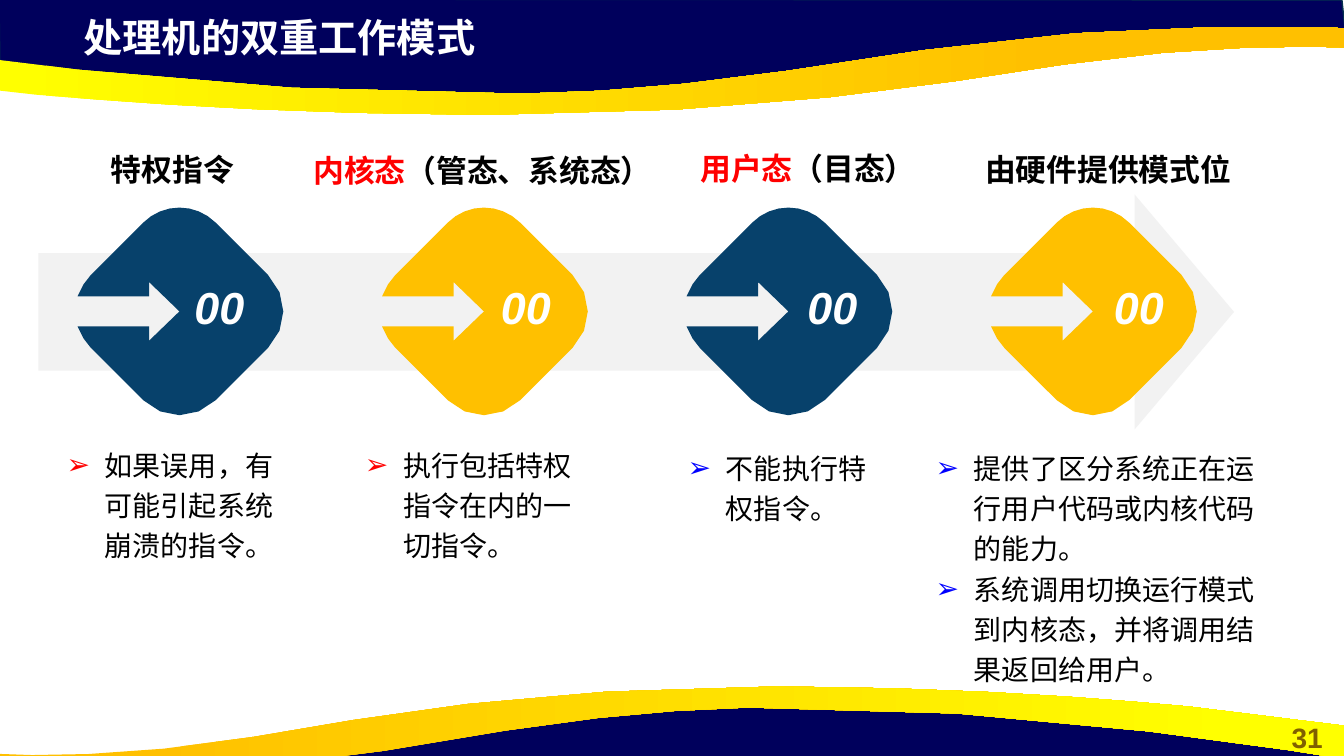
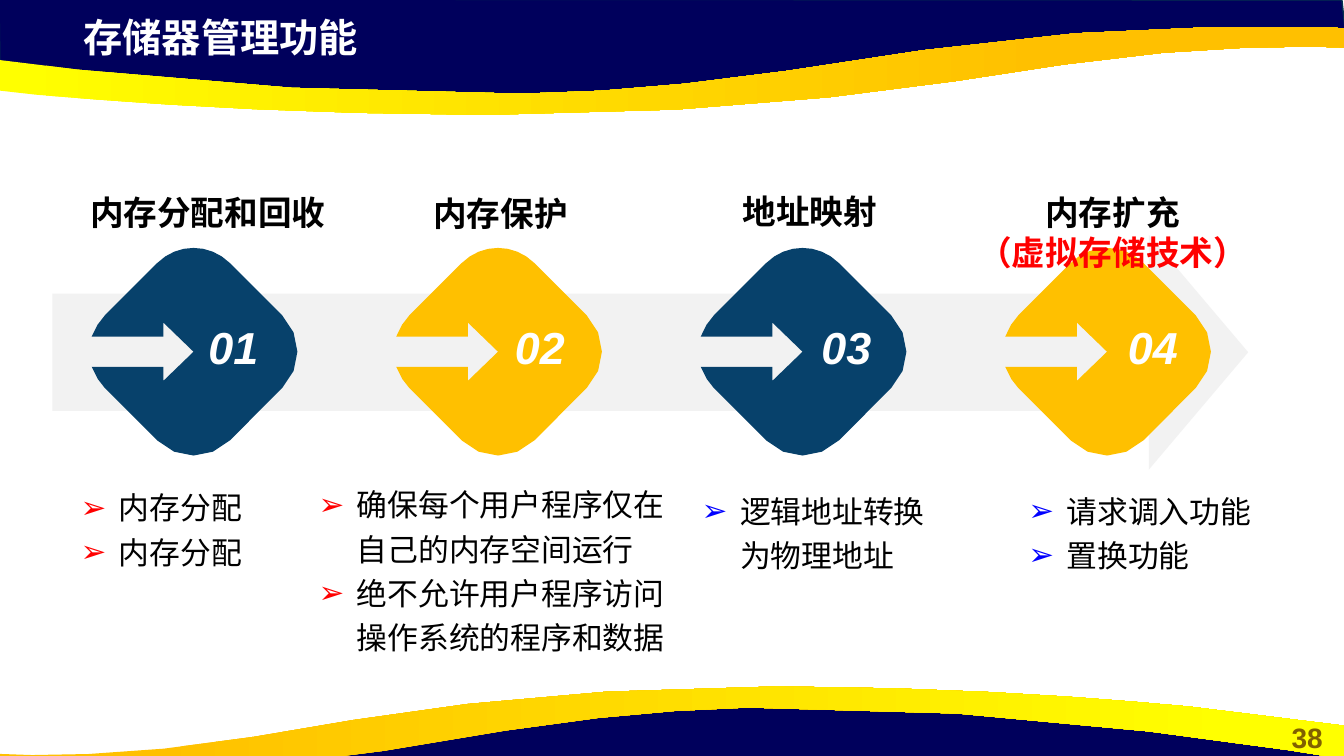
from pptx import Presentation
from pptx.dml.color import RGBColor
from pptx.enum.shapes import MSO_SHAPE as Preset
from pptx.enum.text import MSO_ANCHOR as Anchor, MSO_AUTO_SIZE as AutoSize, PP_ALIGN as Align
from pptx.oxml.ns import qn
from pptx.util import Inches, Pt
from lxml.etree import SubElement

# Theme
THEME = {
    "font": "Arial", "navy": "00005C", "edge": "05304F", "orange": "FFC000",
    "yellow": "FFFF00", "banner": "F2F2F2", "page": "806000", "white": "FFFFFF",
    "black": "000000", "red": "FF0000", "blue": "0000FF",
    "diamonds": ("07416B", "FFC000"),
    "title_size": 28, "number_size": 32, "page_size": 20,
}
WIDTH, HEIGHT = 13.33, 7.5

# Content: heading runs are (text, colour), heading is (left, width, align),
# list is (left, drop below the banner's top, width)
SLIDES = [
    {
        "title": "处理机的双重工作模式", "page": "31", "banner": (0.38, 1.93),
        "heading_size": 22, "list_size": 20,
        "columns": [
            {"number": "00", "runs": [("特权指令", "black")],
             "heading": (0.24, 2.94, Align.CENTER), "list": (0.56, 2.4, 2.5),
             "items": ["如果误用，有可能引起系统崩溃的指令。"]},
            {"number": "00", "runs": [("内核态", "red"), ("（管态、系统态）", "black")],
             "heading": (3.01, 3.63, Align.LEFT), "list": (3.52, 2.4, 2.49),
             "items": ["执行包括特权指令在内的一切指令。"]},
            {"number": "00", "runs": [("用户态", "red"), ("（目态）", "black")],
             "heading": (6.6, 2.58, Align.RIGHT), "list": (6.72, 2.43, 2.21),
             "items": ["不能执行特权指令。"]},
            {"number": "00", "runs": [("由硬件提供模式位", "black")],
             "heading": (9.3, 3.38, Align.CENTER), "list": (9.18, 2.43, 3.42),
             "items": ["提供了区分系统正在运行用户代码或内核代码的能力。",
                       "系统调用切换运行模式到内核态，并将调用结果返回给用户。"]},
        ],
    },
    {
        "title": "存储器管理功能", "page": "38", "banner": (0.52, 2.33),
        "heading_size": 24, "list_size": 22,
        "columns": [
            {"number": "01", "runs": [("内存分配和回收", "black")],
             "heading": (0.59, 2.94, Align.CENTER), "list": (0.7, 2.4, 2.5),
             "items": ["内存分配", "内存分配"]},
            {"number": "02", "runs": [("内存保护", "black")],
             "heading": (3.15, 3.63, Align.CENTER), "list": (3.06, 2.37, 3.64),
             "items": ["确保每个用户程序仅在自己的内存空间运行",
                       "绝不允许用户程序访问操作系统的程序和数据"]},
            {"number": "03", "runs": [("地址映射", "black")],
             "heading": (6.74, 2.58, Align.CENTER), "list": (6.86, 2.43, 2.58),
             "items": ["逻辑地址转换为物理地址"]},
            {"number": "04", "runs": [("内存扩充\n", "black"), ("（虚拟存储技术）", "red")],
             "heading": (9.25, 3.57, Align.CENTER), "list": (10.1, 2.43, 2.59),
             "items": ["请求调入功能", "置换功能"]},
        ],
    },
]
HEADING_RISE = (0.48, 0.51, 0.49, 0.48)
HEADING_SPACING = (1, 1.1, 1, 1)
BULLET_COLOURS = ("red", "red", "blue", "blue")
DIAMOND_PITCH, NUMBER_PITCH = 3.02, 3.04

# Outlines: a pair is a line to a point, six numbers are a Bézier curve
TOP_NAVY = [(-0.01, -0.01), (0, 0.7), (2.93, 1.02), (5.59, 1), (7.95, 0.88),
            (10.16, 0.5), (12.38, 0.33), (13.35, 0.38), (13.31, 0)]
BOTTOM_NAVY = [(13.33, 7.94), (13.32, 7.24), (10.4, 6.91), (7.73, 6.93), (5.38, 7.06),
               (3.17, 7.43), (0.95, 7.6), (-0.03, 7.56), (0.01, 7.93)]
TOP_RIBBON = [
    (4.83, 1.14), (3.56, 1.12), (2.06, 1.08, 1.1, 1, 0.36, 0.94),
    (-1.33, 0.75), (-1.33, 0.42),
    (-1.33, 0.42, 2.18, 0.98, 5.17, 0.93), (6.26, 0.91, 7.08, 0.83, 9.15, 0.5),
    (11.21, 0.18, 13.33, 0.28, 13.33, 0.28), (13.33, 0.47),
    (13.05, 0.46, 11.95, 0.43, 10.55, 0.64), (9.18, 0.85, 7.62, 1.13, 4.83, 1.14)]
BOTTOM_RIBBON = [
    (7.72, 6.81), (8.88, 6.83), (10.25, 6.87, 11.12, 6.95, 11.79, 7.01),
    (13.33, 7.2), (13.33, 7.53),
    (13.33, 7.53, 10.14, 6.97, 7.42, 7.02), (6.42, 7.05, 5.67, 7.12, 3.8, 7.45),
    (1.92, 7.78, -0.01, 7.68, -0.01, 7.68), (-0.01, 7.48),
    (0.25, 7.5, 1.25, 7.52, 2.52, 7.31), (3.76, 7.1, 5.19, 6.82, 7.72, 6.81)]
# Rounded diamond around its own centre, with an arrow cut in from the left
DIAMOND = [
    (0, -1.03), (0.13, -1.03, 0.26, -0.98, 0.36, -0.88), (0.88, -0.36),
    (1.08, -0.16, 1.08, 0.16, 0.88, 0.36), (0.36, 0.88),
    (0.16, 1.08, -0.16, 1.08, -0.36, 0.88), (-0.88, 0.36), (-0.95, 0.27),
    (-1.01, 0.15), (-0.3, 0.15), (-0.3, 0.29),
    (0, 0), (-0.3, -0.29), (-0.3, -0.15), (-1.01, -0.15), (-0.95, -0.27),
    (-0.88, -0.36), (-0.36, -0.88), (-0.26, -0.98, -0.13, -1.03, 0, -1.03)]


def colour(name):
    return RGBColor.from_string(THEME.get(name, name))


def assign(target, **values):
    for key, value in values.items():
        setattr(target, key, value)


def place(part, left, top, width, height):
    assign(part, left=Inches(left), top=Inches(top),
           width=Inches(width), height=Inches(height))


def style(font, size, tint, bold=False, italic=False):
    assign(font, name=THEME["font"], size=Pt(size), bold=bold, italic=italic)
    font.color.rgb = colour(tint)


def flatten(outline, steps=4):
    """Turn lines and curves into a list of points."""
    points = [outline[0]]
    for part in outline[1:]:
        if len(part) == 2:
            points.append(part)
            continue
        start, a, b, end = points[-1], part[:2], part[2:4], part[4:]
        for step in range(1, steps + 1):
            t = step / steps
            u = 1 - t
            points.append(tuple(
                u**3 * p + 3 * u * u * t * q + 3 * u * t * t * r + t**3 * s
                for p, q, r, s in zip(start, a, b, end)))
    return points


def draw_outline(slide, outline, fill=None, centre=(0, 0)):
    points = [(Inches(x + centre[0]), Inches(y + centre[1])) for x, y in flatten(outline)]
    if points[-1] == points[0]:
        points.pop()
    builder = slide.shapes.build_freeform(*points[0])
    builder.add_line_segments(points[1:], close=True)
    figure = builder.convert_to_shape()
    figure.shadow.inherit = False
    figure.line.fill.background()
    if fill:
        figure.fill.solid()
        figure.fill.fore_color.rgb = colour(fill)
    return figure


def draw_ribbon(slide, outline, stops):
    ribbon = draw_outline(slide, outline)
    ribbon.fill.gradient()
    ribbon.fill.gradient_angle = 0
    for stop, (position, tint) in zip(ribbon.fill.gradient_stops, stops):
        stop.position = position
        stop.color.rgb = colour(tint)
    return ribbon


def draw_navy(slide, outline):
    band = draw_outline(slide, outline, "navy")
    band.line.color.rgb = colour("edge")
    band.line.width = Pt(1)
    return band


def build_bands(slide, layout):
    """Draw the shared bands once and hand them to the layout."""
    bands = [
        draw_navy(slide, TOP_NAVY),
        draw_ribbon(slide, TOP_RIBBON, [(0.1, "yellow"), (0.8, "orange")]),
        draw_navy(slide, BOTTOM_NAVY),
        draw_ribbon(slide, BOTTOM_RIBBON, [(0.11, "orange"), (0.92, "yellow")]),
    ]
    for depth, band in enumerate(bands, 2):
        layout.shapes.element.insert(depth, band.element)


def add_label(slide, box, runs, size, align=Align.CENTER, italic=False,
              anchor=Anchor.TOP, spacing=1):
    label = slide.shapes.add_textbox(*map(Inches, box))
    assign(label.text_frame, word_wrap=True, vertical_anchor=anchor)
    line = label.text_frame.paragraphs[0]
    assign(line, alignment=align, line_spacing=spacing)
    for text, tint in runs:
        run = line.add_run()
        run.text = text.rstrip("\n")
        style(run.font, size, tint, True, italic)
        if text.endswith("\n"):
            line.add_line_break()


def add_bullet(paragraph, tint):
    props = paragraph._p.get_or_add_pPr()
    props.set("marL", str(Inches(0.38)))
    props.set("indent", str(-Inches(0.38)))
    SubElement(SubElement(props, qn("a:buClr")), qn("a:srgbClr")).set("val", THEME[tint])
    SubElement(props, qn("a:buFont")).set("typeface", THEME["font"])
    SubElement(props, qn("a:buChar")).set("char", "➢")


def fill_list(body, items, size, tint):
    frame = body.text_frame
    assign(frame, word_wrap=True, auto_size=AutoSize.NONE, vertical_anchor=Anchor.TOP)
    for index, item in enumerate(items):
        line = frame.add_paragraph() if index else frame.paragraphs[0]
        add_bullet(line, tint)
        run = line.add_run()
        run.text = item
        assign(line, line_spacing=1.2, space_before=Pt(0), alignment=Align.LEFT)
        style(run.font, size, "black")


def fill_slide(slide, content):
    # Title and page number
    frame = slide.shapes.title.text_frame
    frame.text = content["title"]
    assign(frame, auto_size=AutoSize.NONE, vertical_anchor=Anchor.TOP)
    frame.paragraphs[0].alignment = Align.LEFT
    style(frame.paragraphs[0].runs[0].font, THEME["title_size"], "white", True)
    add_label(slide, (WIDTH - 0.73, 7.1, 0.73, 0.44), [(content["page"], "page")],
              THEME["page_size"])

    # Banner arrow
    left, top = content["banner"]
    banner = slide.shapes.add_shape(Preset.RIGHT_ARROW, *map(Inches, (left, top, 11.86, 2.33)))
    banner.adjustments[0], banner.adjustments[1] = 0.5, 0.423
    banner.shadow.inherit = False
    banner.fill.solid()
    banner.fill.fore_color.rgb = colour("banner")
    banner.line.fill.background()

    # Columns: diamond, number, heading, list
    bodies = [p for p in slide.placeholders if p.placeholder_format.idx]
    for index, (column, body) in enumerate(zip(content["columns"], bodies)):
        draw_outline(slide, DIAMOND, THEME["diamonds"][index % 2],
                     (left + 1.4 + index * DIAMOND_PITCH, top + 1.16))
        add_label(slide, (left + 1.41 + index * NUMBER_PITCH, top + 0.74, 0.77, 0.74),
                  [(column["number"], "white")], THEME["number_size"],
                  italic=True, anchor=Anchor.MIDDLE)
        x, width, align = column["heading"]
        add_label(slide, (x, top - HEADING_RISE[index], width, 0.43), column["runs"],
                  content["heading_size"], align, spacing=HEADING_SPACING[index])
        x, drop, width = column["list"]
        place(body, x, top + drop, width, 1.6)
        fill_list(body, column["items"], content["list_size"], BULLET_COLOURS[index])


def main():
    deck = Presentation()
    assign(deck, slide_width=Inches(WIDTH), slide_height=Inches(HEIGHT))
    layout = deck.slide_layouts.get_by_name("Comparison")
    place(layout.placeholders[0], 0.73, 0.08, 7.68, 0.57)
    # Keep only the title and the four lists in the layout
    for spare in list(layout.placeholders)[5:]:
        layout.shapes.element.remove(spare.element)
    slides = [deck.slides.add_slide(layout) for _ in SLIDES]
    build_bands(slides[0], layout)
    for slide, content in zip(slides, SLIDES):
        fill_slide(slide, content)
    deck.save("out.pptx")


if __name__ == "__main__":
    main()
